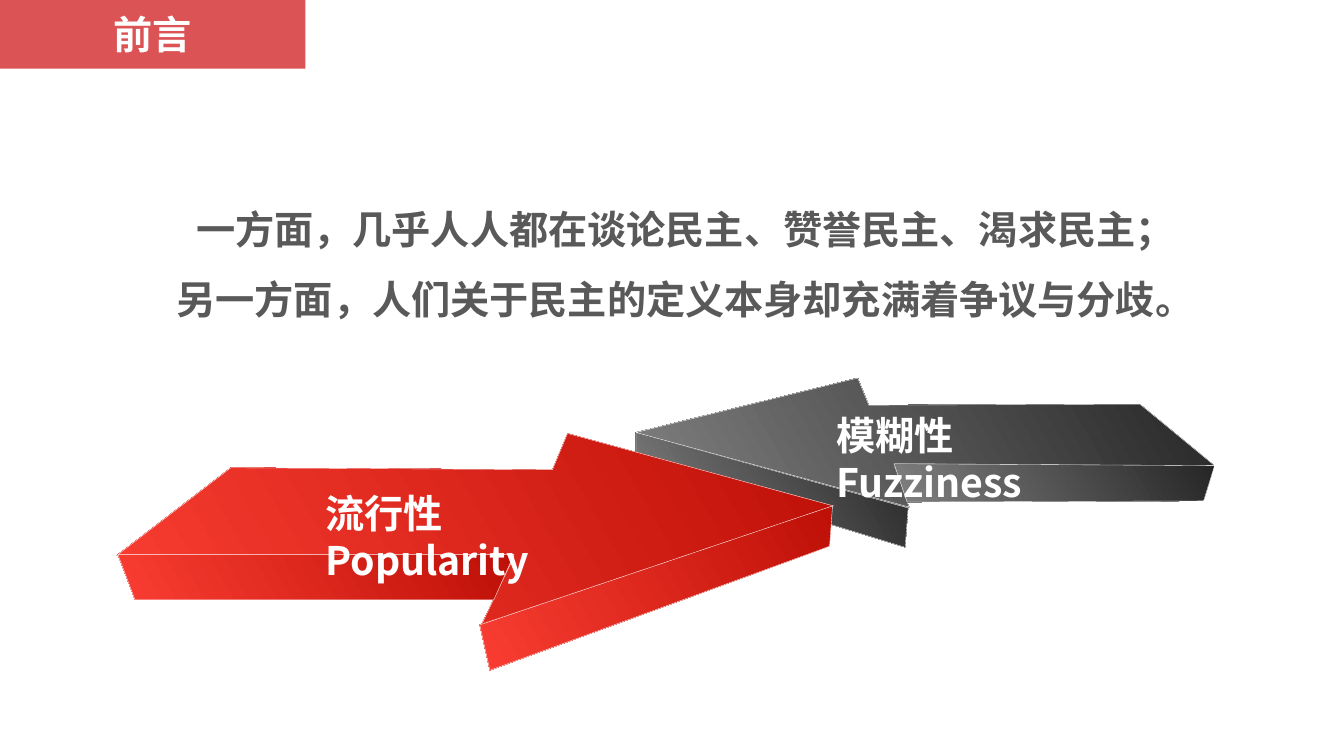
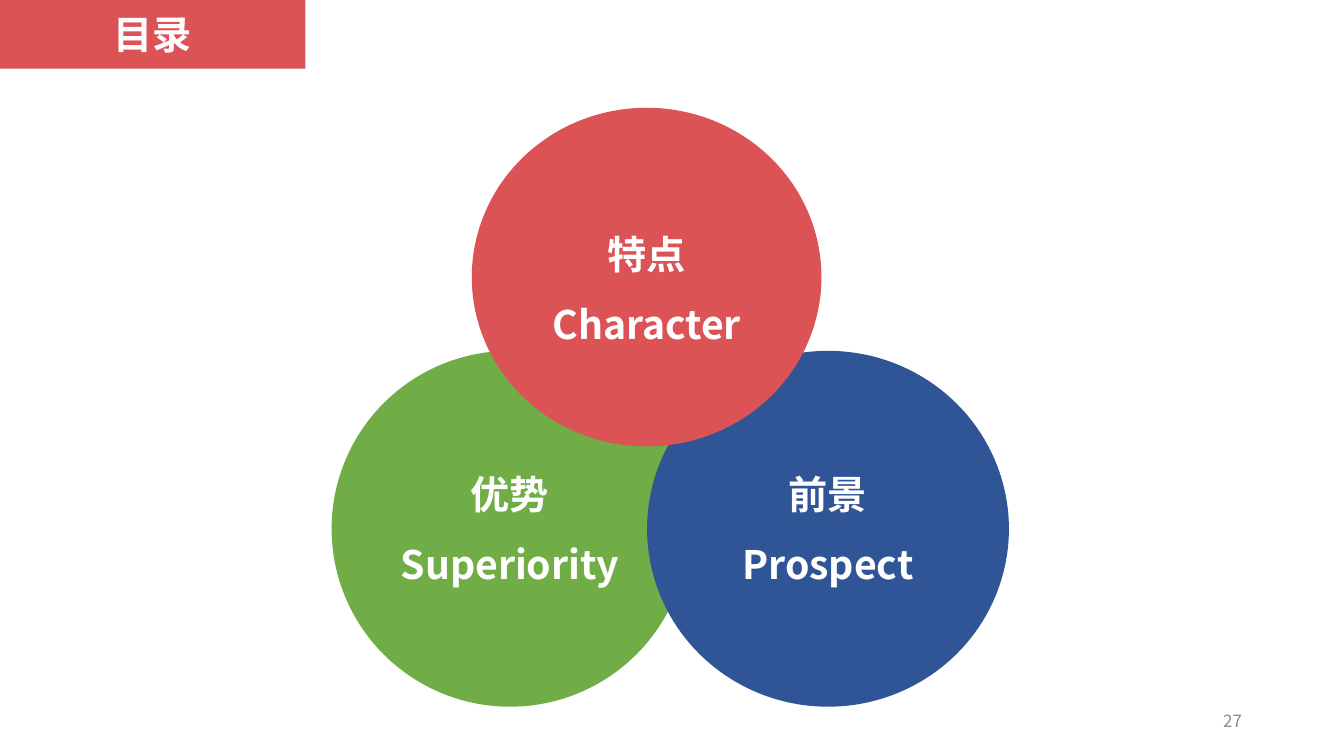
from dataclasses import dataclass

from lxml import etree
from pptx import Presentation
from pptx.dml.color import RGBColor
from pptx.enum import shapes, text
from pptx.oxml import ns
from pptx.util import Pt

Point = tuple[float, float]
MID = text.MSO_ANCHOR.MIDDLE
TOP = text.MSO_ANCHOR.TOP
LEFT = text.PP_ALIGN.LEFT
MIDST = text.PP_ALIGN.CENTER
RIGHT = text.PP_ALIGN.RIGHT


@dataclass(frozen=True)
class Theme:
    font: str = "Noto Sans CJK SC"
    white: str = "FFFFFF"
    red: str = "DB5355"
    green: str = "70AD47"
    blue: str = "2F5597"
    body: str = "595959"
    faint: str = "8C8C8C"
    grays: tuple[str, str] = ("262626", "808080")
    reds: tuple[str, str] = ("BE1007", "F93D32")
    large: float = 28
    small: float = 12
    edge: float = 0.25
    loose: float = 1.5


THEME = Theme()


@dataclass(frozen=True)
class Box:
    left: float
    top: float
    width: float
    height: float

    def spans(self) -> tuple:
        return Pt(self.left), Pt(self.top), Pt(self.width), Pt(self.height)


@dataclass(frozen=True)
class Line:
    words: str
    space: float = 1.0


@dataclass(frozen=True)
class Look:
    color: str = THEME.white
    size: float = THEME.large
    bold: bool = True
    align: text.PP_ALIGN = MIDST
    anchor: text.MSO_ANCHOR = MID


@dataclass(frozen=True)
class Arrow:
    label: str
    spot: Box
    tones: tuple[str, str]
    faces: tuple[tuple[Point, ...], ...]


@dataclass(frozen=True)
class Disc:
    lines: tuple[Line, ...]
    box: Box
    color: str


BAND = Box(0, 0, 218.2, 49)
INTRO = (
    Line("一方面，几乎人人都在谈论民主、赞誉民主、渴求民主；", THEME.loose),
    Line("另一方面，人们关于民主的定义本身却充满着争议与分歧。", THEME.loose),
)
ARROWS = (
    Arrow("模糊性 Fuzziness", Box(590.4, 290.2, 170, 82), THEME.grays, (
        ((648.7, 362.9), (646.6, 391), (454.3, 331.9), (454.3, 308.9)),
        ((454.3, 308.9), (612.7, 270), (620.6, 289.4), (814.3, 288.7),
         (867.6, 332.6), (638.6, 331.9), (649.4, 362.2)),
        ((638.6, 331.2), (648, 358.6), (859.7, 357.8), (867.6, 332.6)),
    )),
    Arrow("流行性 Popularity", Box(225.4, 345.6, 170, 82), THEME.reds, (
        ((164.9, 334.1), (83.5, 396.7), (367.2, 397.4), (344.2, 445.7),
         (595.4, 361.4), (405.4, 309.6), (394.6, 335.5)),
        ((84.2, 396), (96.5, 428.4), (352.8, 428.4), (367.2, 396)),
        ((342.7, 446.4), (349.9, 478.8), (592.6, 390.2), (594.7, 361.4)),
    )),
)
DISCS = (
    Disc((Line("优势"), Line("Superiority", THEME.loose)),
         Box(236.9, 250.6, 254.9, 254.2), THEME.green),
    Disc((Line("前景"), Line("Prospect", THEME.loose)),
         Box(462.2, 250.6, 258.5, 254.2), THEME.blue),
    Disc((Line("特点", THEME.loose), Line("Character", THEME.loose)),
         Box(337, 77, 249.8, 241.9), THEME.red),
)


def rgb(code: str) -> RGBColor:
    return RGBColor.from_string(code)


def paint(shape, color: str) -> None:
    shape.fill.solid()
    shape.fill.fore_color.rgb = rgb(color)


def place(shape, box: Box) -> None:
    shape.left, shape.top, shape.width, shape.height = box.spans()


def write(shape, lines: tuple[Line, ...], look: Look) -> None:
    frame = shape.text_frame
    frame.word_wrap = True
    frame.auto_size = text.MSO_AUTO_SIZE.NONE
    frame.vertical_anchor = look.anchor
    for i, line in enumerate(lines):
        para = frame.add_paragraph() if i else frame.paragraphs[0]
        para.alignment = look.align
        para.line_spacing = line.space
        para.space_before = Pt(0)
        run = para.add_run()
        run.text = line.words
        font = run.font
        font.size, font.bold, font.name = Pt(look.size), look.bold, THEME.font
        font.color.rgb = rgb(look.color)
        east = etree.SubElement(run._r.get_or_add_rPr(), ns.qn("a:ea"))
        east.set("typeface", THEME.font)


def unmark(shape) -> None:
    """Remove list bullets and hanging indents."""
    for para in shape.text_frame.paragraphs:
        props = para._p.get_or_add_pPr()
        props.set("marL", "0")
        props.set("indent", "0")
        etree.SubElement(props, ns.qn("a:buNone"))


def start(deck, layout: int, title: str):
    """Add a slide with the shared red title band."""
    slide = deck.slides.add_slide(deck.slide_layouts[layout])
    band = slide.shapes.title
    place(band, BAND)
    paint(band, THEME.red)
    write(band, (Line(title),), Look())
    return slide


def note(slide, words: str, box: Box, look: Look) -> None:
    write(slide.shapes.add_textbox(*box.spans()), (Line(words),), look)


def draw_arrow(slide, arrow: Arrow) -> None:
    for face in arrow.faces:
        first, *rest = [(Pt(x), Pt(y)) for x, y in face]
        pen = slide.shapes.build_freeform(*first)
        pen.add_line_segments(rest, close=True)
        shape = pen.convert_to_shape()
        shape.shadow.inherit = False
        shape.fill.gradient()
        shape.fill.gradient_angle = 210
        for stop, tone in zip(shape.fill.gradient_stops, arrow.tones):
            stop.color.rgb = rgb(tone)
        shape.line.color.rgb = rgb(THEME.white)
        shape.line.width = Pt(THEME.edge)
    note(slide, arrow.label, arrow.spot, Look(align=LEFT, anchor=TOP))


def draw_disc(slide, disc: Disc) -> None:
    shape = slide.shapes.add_shape(shapes.MSO_SHAPE.OVAL, *disc.box.spans())
    shape.shadow.inherit = False
    paint(shape, disc.color)
    shape.line.fill.background()
    write(shape, disc.lines, Look())


def preface(deck) -> None:
    slide = start(deck, 1, "前言")
    body = slide.placeholders[1]
    place(body, Box(68.4, 126, 842.4, 108.7))
    write(body, INTRO, Look(color=THEME.body, anchor=TOP))
    unmark(body)
    for arrow in ARROWS:
        draw_arrow(slide, arrow)


def contents(deck) -> None:
    slide = start(deck, 5, "目录")
    note(slide, "27", Box(678.2, 500.4, 216, 28.8),
         Look(THEME.faint, THEME.small, False, RIGHT))
    for disc in DISCS:
        draw_disc(slide, disc)


def main() -> None:
    deck = Presentation()
    deck.slide_width, deck.slide_height = Pt(960), Pt(540)
    preface(deck)
    contents(deck)
    deck.save("out.pptx")


if __name__ == "__main__":
    main()
